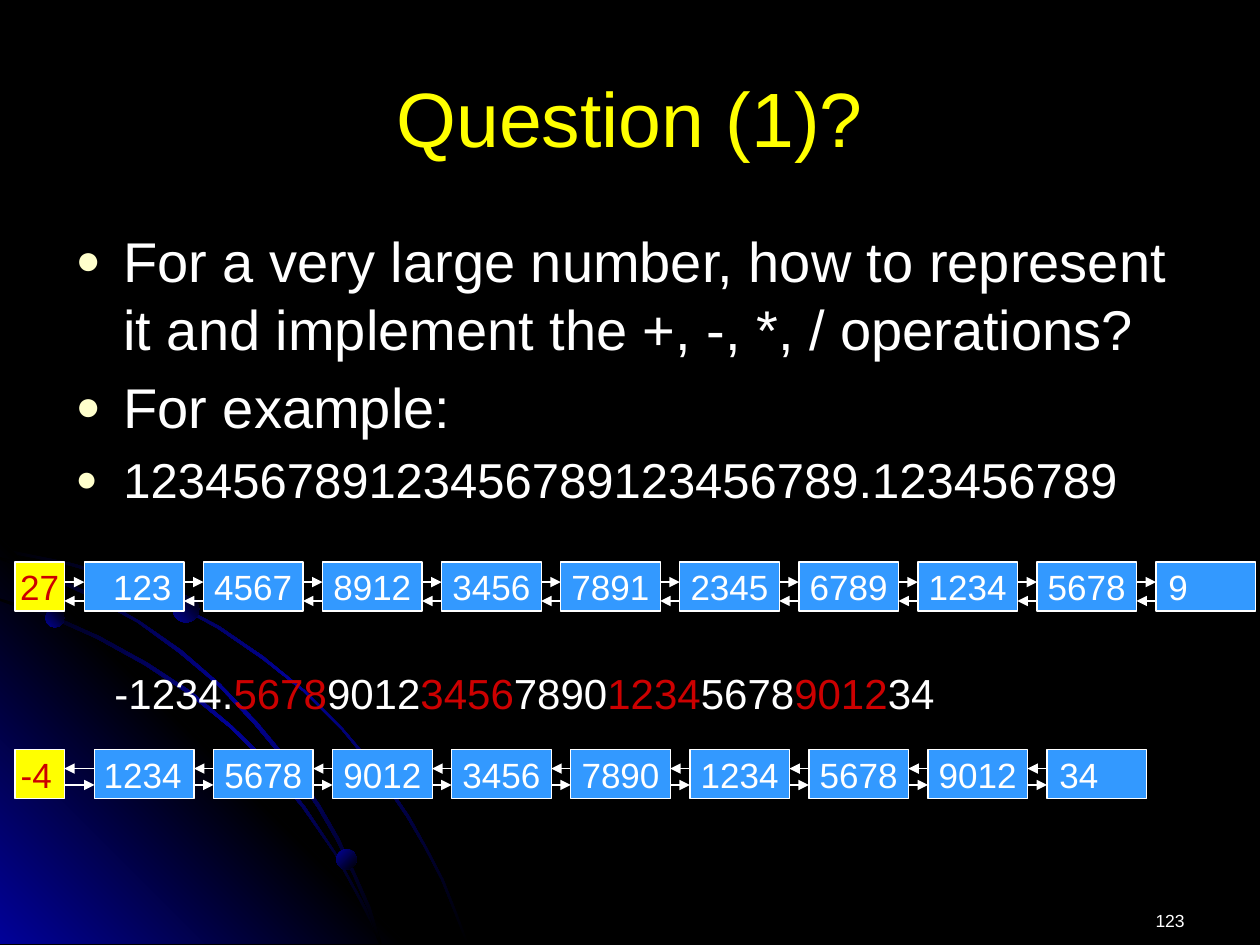
from copy import deepcopy

from lxml import etree
from pptx import Presentation
from pptx.dml.color import RGBColor
from pptx.enum.shapes import MSO_CONNECTOR, MSO_SHAPE
from pptx.enum.text import MSO_ANCHOR, MSO_AUTO_SIZE, PP_ALIGN
from pptx.oxml.ns import qn
from pptx.util import Inches, Pt

LEFT, CENTER, RIGHT = PP_ALIGN.LEFT, PP_ALIGN.CENTER, PP_ALIGN.RIGHT
MIDDLE, TOP = MSO_ANCHOR.MIDDLE, MSO_ANCHOR.TOP
RECTANGLE, OVAL, STRAIGHT = MSO_SHAPE.RECTANGLE, MSO_SHAPE.OVAL, MSO_CONNECTOR.STRAIGHT
NO_AUTOFIT = MSO_AUTO_SIZE.NONE
FONT = "Arial"
COLORS = {
    "black": "000000", "navy": "010199", "white": "FFFFFF", "yellow": "FFFF00",
    "cream": "FFFFCC", "red": "CC0000", "blue": "3399FF",
}
NODE_WIDTH, NODE_HEIGHT, NODE_PITCH = 0.79, 0.39, 0.945

ARCS = [
    [(0.57, 4.47), (0.28, 4.41), (0, 4.35), (0, 4.38), (0.28, 4.43), (0.56, 4.49),
     (0.97, 4.61), (1.35, 4.78), (1.73, 4.99), (2.08, 5.23), (2.41, 5.49), (2.71, 5.79),
     (2.98, 6.12), (3.23, 6.49), (3.37, 6.73), (3.5, 6.98), (3.6, 7.23), (3.7, 7.49),
     (3.72, 7.49), (3.62, 7.23), (3.52, 6.98), (3.39, 6.73), (3.25, 6.48), (3, 6.11),
     (2.72, 5.78), (2.42, 5.48), (2.09, 5.21), (1.74, 4.97), (1.36, 4.77), (0.98, 4.59)],
    [(2.85, 7.14), (2.94, 7.32), (3.01, 7.49), (3.03, 7.49), (2.96, 7.3), (2.86, 7.12),
     (2.66, 6.76), (2.42, 6.4), (2.15, 6.06), (1.84, 5.76), (1.52, 5.49), (1.17, 5.26),
     (0.79, 5.05), (0.41, 4.88), (0, 4.75), (0, 4.77), (0.39, 4.9), (0.77, 5.07),
     (1.15, 5.28), (1.5, 5.51), (1.83, 5.78), (2.13, 6.08), (2.4, 6.41), (2.65, 6.77)],
    [(0, 4.42), (0, 4.44), (0.36, 4.57), (0.74, 4.75), (1.09, 4.94), (1.42, 5.18),
     (1.73, 5.44), (2.02, 5.75), (2.27, 6.05), (2.52, 6.41), (2.67, 6.67), (2.8, 6.94),
     (2.92, 7.22), (3.01, 7.49), (3.03, 7.49), (2.94, 7.2), (2.82, 6.93), (2.69, 6.65),
     (2.54, 6.39), (2.29, 6.03), (2.04, 5.73), (1.75, 5.43), (1.44, 5.16), (1.11, 4.93),
     (0.76, 4.73), (0.39, 4.55)],
]
CORNER = [(3.22, 7.49), (0, 7.49), (0, 4.27)]
BEADS = [(0.36, 4.83, 0.15, 45), (2.67, 6.74, 0.16, 315), (1.37, 4.73, 0.21, 45)]


def rgb(color):
    """Return the named colour."""
    return RGBColor.from_string(COLORS[color])


def set_font(font, size, color):
    """Set typeface, size and colour."""
    font.name, font.size = FONT, Pt(size)
    font.color.rgb = rgb(color)


def fill_gradient(shape, colors, angle):
    """Fill an unlined shape with evenly spaced gradient colours."""
    shape.shadow.inherit = False
    shape.line.fill.background()
    shape.fill.gradient()
    stop_list = shape.element.spPr.find(".//" + qn("a:gsLst"))
    for _ in colors[2:]:
        stop_list.append(deepcopy(stop_list[0]))
    for index, (stop, color) in enumerate(zip(shape.fill.gradient_stops, colors)):
        stop.color.rgb = rgb(color)
        stop.position = index / (len(colors) - 1)
    shape.fill.gradient_angle = angle


def add_outline(shapes, points, colors, angle):
    """Draw a closed gradient outline through points in inches."""
    corners = [(Inches(x), Inches(y)) for x, y in points]
    builder = shapes.build_freeform(*corners[0])
    builder.add_line_segments(corners[1:])
    fill_gradient(builder.convert_to_shape(), colors, angle)


def add_backdrop(slide):
    """Draw the glowing corner with its arcs and beads behind everything."""
    backdrop = slide.shapes.add_group_shape()
    add_outline(backdrop.shapes, ARCS[0], ["black", "navy", "black"], 315)
    add_outline(backdrop.shapes, CORNER, ["navy", "black", "navy"], 45)
    for arc in ARCS[1:]:
        add_outline(backdrop.shapes, arc, ["black", "navy", "black"], 315)
    for left, top, size, angle in BEADS:
        bead = backdrop.shapes.add_shape(
            OVAL, Inches(left), Inches(top), Inches(size), Inches(size))
        fill_gradient(bead, ["navy", "black"], angle)
    slide.shapes.element.insert(2, backdrop.element)


def place(shape, left, top, width, height):
    """Move and size a shape in inches."""
    shape.left, shape.top = Inches(left), Inches(top)
    shape.width, shape.height = Inches(width), Inches(height)


def fill_title(title, box):
    """Place and format the title."""
    place(title, *box)
    title.text_frame.text = "Question (1)?"
    title.text_frame.vertical_anchor = MIDDLE
    heading = title.text_frame.paragraphs[0]
    heading.alignment = CENTER
    set_font(heading.font, 44, "yellow")


def fill_body(body, box, items):
    """Place the bulleted list of (text, size) items."""
    place(body, *box)
    frame = body.text_frame
    frame.text = "\n".join(text for text, _ in items)
    frame.auto_size = NO_AUTOFIT
    frame.vertical_anchor = TOP
    for index, (item, (_, size)) in enumerate(zip(frame.paragraphs, items)):
        properties = item._p.get_or_add_pPr()
        properties.set("marL", str(Inches(0.38)))
        properties.set("indent", str(-Inches(0.38)))
        bullet_color = etree.SubElement(properties, qn("a:buClr"))
        etree.SubElement(bullet_color, qn("a:srgbClr"), val=COLORS["cream"])
        etree.SubElement(properties, qn("a:buSzPct"), val="75000")
        etree.SubElement(properties, qn("a:buChar"), char="●")
        item.space_before = Pt(0.2 * size if index else 0)
        set_font(item.font, size, "white")


def add_grouped_number(slide, box, digits):
    """Write a number whose digit groups alternate between white and red."""
    number = slide.shapes.add_textbox(*map(Inches, box))
    number.text_frame.word_wrap = False
    line = number.text_frame.paragraphs[0]
    line.font.name, line.font.size = FONT, Pt(24)
    for index, group in enumerate(digits):
        run = line.add_run()
        run.text = group
        set_font(run.font, 24, "red" if index % 2 else "white")


def add_node(shapes, left, top, width, text, fill, color, alignment):
    """Draw one list node."""
    node = shapes.add_shape(
        RECTANGLE, Inches(left), Inches(top), Inches(width), Inches(NODE_HEIGHT))
    node.shadow.inherit = False
    node.fill.solid()
    node.fill.fore_color.rgb = rgb(fill)
    node.line.color.rgb = rgb("white")
    node.line.width = Pt(0.75)
    frame = node.text_frame
    frame.text = text
    frame.word_wrap = False
    frame.vertical_anchor = MIDDLE
    frame.paragraphs[0].alignment = alignment
    set_font(frame.paragraphs[0].font, 20, color)


def add_link(shapes, start, end, y):
    """Draw a horizontal arrow from start to end."""
    link = shapes.add_connector(STRAIGHT, Inches(start), Inches(y), Inches(end), Inches(y))
    link.line.color.rgb = rgb("white")
    link.line.width = Pt(0.75)
    etree.SubElement(link.line._get_or_add_ln(), qn("a:tailEnd"), type="triangle")
    etree.SubElement(link.element.spPr, qn("a:effectLst"))


def add_linked_list(slide, left, top, first, head, head_alignment, values, next_y, back_y):
    """Draw a doubly linked list: a head, then evenly spaced nodes from first."""
    shapes = slide.shapes.add_group_shape().shapes
    add_node(shapes, left, top, NODE_HEIGHT, head, "yellow", "red", head_alignment)
    previous_end = left + NODE_HEIGHT
    alignments = [RIGHT] + [CENTER] * (len(values) - 2) + [LEFT]
    for index, (value, alignment) in enumerate(zip(values, alignments)):
        start = first + index * NODE_PITCH
        add_node(shapes, start, top, NODE_WIDTH, value, "blue", "white", alignment)
        add_link(shapes, previous_end, start, top + next_y)
        add_link(shapes, start, previous_end, top + back_y)
        previous_end = start + NODE_WIDTH


def add_page_number(slide, box):
    """Write the page number at the lower right."""
    page = slide.shapes.add_textbox(*map(Inches, box))
    page.text_frame.word_wrap = True
    page.text_frame.margin_top = Inches(0.21)
    page.text_frame.text = "123"
    page.text_frame.paragraphs[0].alignment = RIGHT
    set_font(page.text_frame.paragraphs[0].font, 10, "white")


def main():
    """Build and save the slide."""
    deck = Presentation()
    deck.slide_width, deck.slide_height = Inches(10), Inches(7.5)
    slide = deck.slides.add_slide(deck.slide_layouts[1])
    slide.background.fill.solid()
    slide.background.fill.fore_color.rgb = rgb("black")
    add_backdrop(slide)
    add_page_number(slide, (7.17, 7.01, 2.33, 0.5))
    fill_title(slide.shapes.title, (0.5, 0.3, 9, 1.25))
    fill_body(slide.placeholders[1], (0.5, 1.75, 9, 4.95), [
        ("For a very large number, how to represent it and implement "
         "the +, -, *, / operations?", 32),
        ("For example:", 32),
        ("123456789123456789123456789.123456789", 28)])
    add_grouped_number(slide, (0.81, 5.25, 6.78, 0.5), [
        "-1234.", "5678", "9012", "3456", "7890", "1234", "5678", "9012", "34"])
    add_linked_list(slide, 0.12, 4.46, 0.67, "27", CENTER, [
        "123", "4567", "8912", "3456", "7891", "2345", "6789", "1234", "5678", "9"],
        0.16, 0.31)
    add_linked_list(slide, 0.12, 5.95, 0.75, "-4", RIGHT, [
        "1234", "5678", "9012", "3456", "7890", "1234", "5678", "9012", "34"],
        0.28, 0.15)
    deck.save("out.pptx")


if __name__ == "__main__":
    main()
